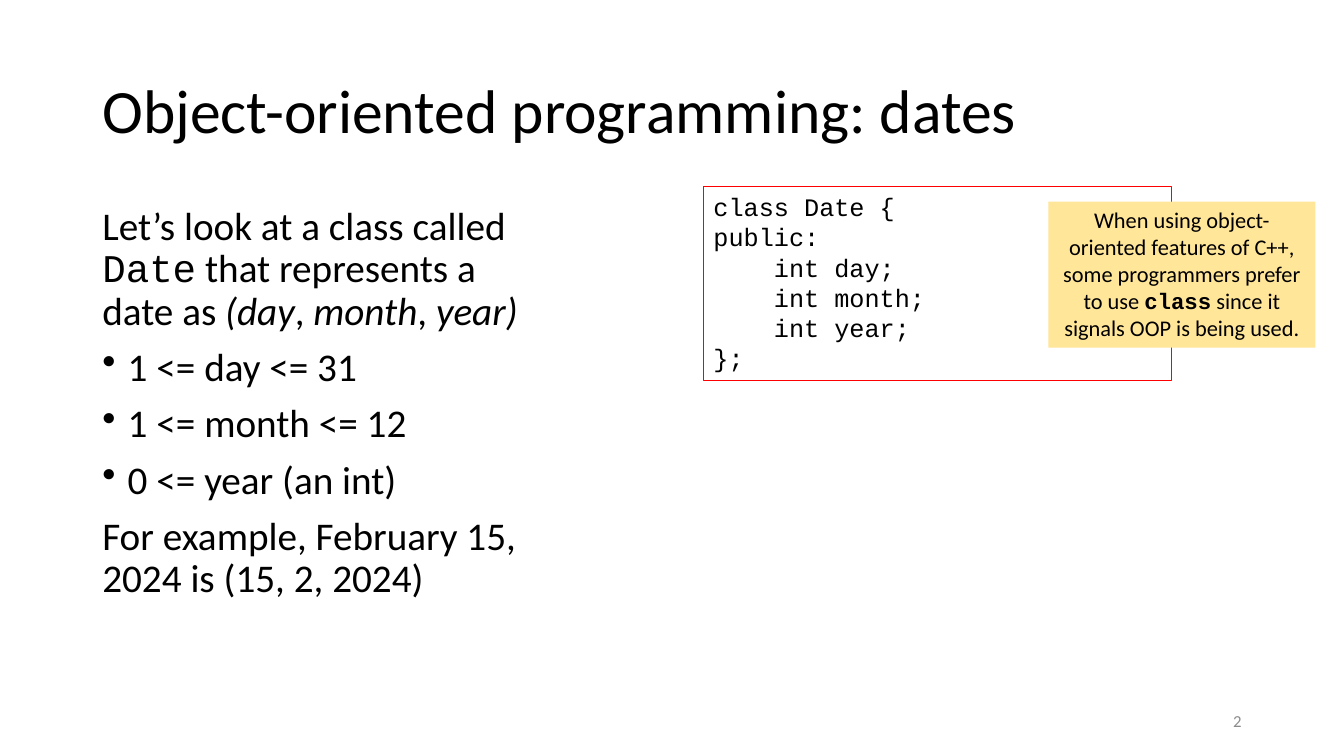
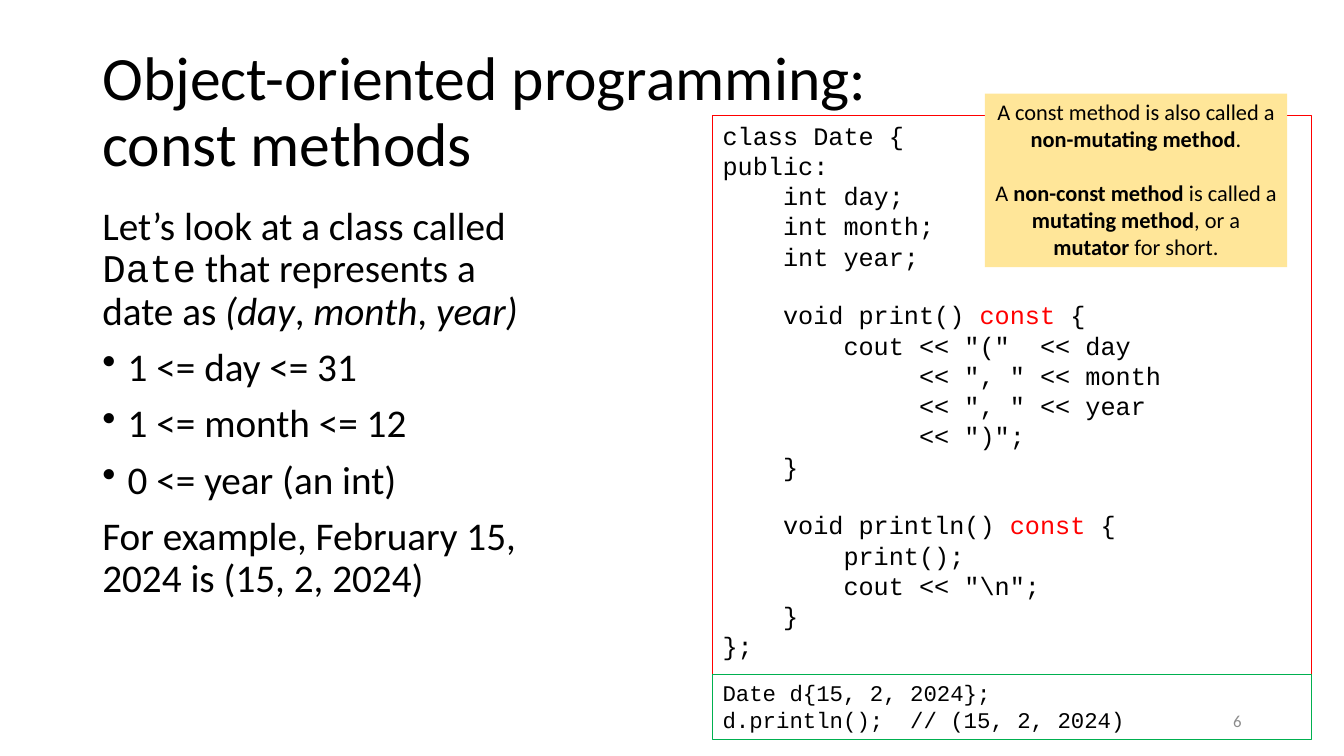
import lxml.etree
import pptx
import pptx.dml.color
import pptx.enum.text
import pptx.oxml.ns
import pptx.util

Cm = pptx.util.Cm
Pt = pptx.util.Pt
ALIGN = pptx.enum.text.PP_ALIGN
MIDDLE = pptx.enum.text.MSO_ANCHOR.MIDDLE

# Shared style
SANS, MONO = "Calibri", "Courier New"
BLACK, GREY, RED, GREEN, YELLOW = "000000", "8C8C8C", "FF0000", "00B050", "FFE699"
LEFT_MARGIN = 2.33
CODE_LINE_HEIGHT = 1.133

# Text: a paragraph is a list of runs, each a string or (string, style)
BOLD, ITALIC = {"bold": True}, {"italic": True}

DATE_INTRODUCTION = [
    "Let’s look at a class called ", ("Date", {"name": MONO}),
    " that represents a date as ", ("(day", ITALIC), ", ",
    ("month", ITALIC), ", ", ("year)", ITALIC),
]
DATE_LIMITS = ["1 <= day <= 31", "1 <= month <= 12", "0 <= year (an int)"]
DATE_EXAMPLE = "For example, February 15, 2024 is (15, 2, 2024)"

CLASS_NOTE = [[
    "When using object-oriented features of C++, some programmers prefer to use ",
    ("class", {"name": MONO, "bold": True}),
    " since it signals OOP is being used.",
]]
CONST_NOTE = [
    ["A const method is also called a ", ("non-mutating method", BOLD), "."],
    ["A ", ("non-const method ", BOLD), "is called a ", ("mutating method", BOLD),
     ", or a ", ("mutator", BOLD), " for short."],
]

DATE_FIELDS = """\
class Date {
public:
    int day;
    int month;
    int year;
"""
DATE_METHODS = r"""
    void print() const {
        cout << "("  << day
             << ", " << month
             << ", " << year
             << ")";
    }

    void println() const {
        print();
        cout << "\n";
    }
"""
CLASS_END = "};"
DATE_USAGE = """\
Date d{15, 2, 2024};
d.println();  // (15, 2, 2024)"""


def color(value):
    return pptx.dml.color.RGBColor.from_string(value)


def add_box(slide, left, top, width, height, fill=None, line=None, anchor=None):
    """Add a wrapping text box and return its text frame."""
    box = slide.shapes.add_textbox(Cm(left), Cm(top), Cm(width), Cm(height))
    if fill:
        box.fill.solid()
        box.fill.fore_color.rgb = color(fill)
    if line:
        box.line.color.rgb = color(line)
        box.line.width = Pt(0.75)
    box.text_frame.word_wrap = True
    if anchor is not None:
        box.text_frame.vertical_anchor = anchor
    return box.text_frame


def add_bullet(paragraph):
    properties = paragraph._p.get_or_add_pPr()
    properties.set("marL", str(Cm(0.64)))
    properties.set("indent", str(-Cm(0.64)))
    bullet = lxml.etree.SubElement(properties, pptx.oxml.ns.qn("a:buChar"))
    bullet.set("char", "•")


def write(frame, content, size, font=SANS, ink=BLACK, align=ALIGN.LEFT,
          spacing=None, before=0, bullet=False):
    """Write one paragraph, using the frame's empty first one if it is free."""
    paragraph = frame.paragraphs[0]
    if paragraph.runs:
        paragraph = frame.add_paragraph()
    if bullet:
        add_bullet(paragraph)
    paragraph.alignment = align
    paragraph.line_spacing = spacing
    paragraph.space_before = Pt(before)
    paragraph.font.name = font
    paragraph.font.size = Pt(size)
    paragraph.font.color.rgb = color(ink)
    if isinstance(content, str):
        paragraph.text = content
        return
    for part in content:
        text, style = (part, {}) if isinstance(part, str) else part
        run = paragraph.add_run()
        run.text = text
        if "ink" in style:
            run.font.color.rgb = color(style["ink"])
        run.font.name = style.get("name")
        run.font.bold = style.get("bold")
        run.font.italic = style.get("italic")


def add_code(slide, left, top, width, height, code, line, size=18, keyword="const"):
    """Add an outlined code listing; empty lines become paragraph spacing."""
    frame = add_box(slide, left, top, width, height, line=line)
    gap = 0
    for code_line in code.splitlines():
        if not code_line:
            gap += size * CODE_LINE_HEIGHT
            continue
        start, found, rest = code_line.partition(keyword)
        content = [start, (found, {"ink": RED}), rest] if found else code_line
        write(frame, content, size, MONO, before=gap)
        gap = 0


def add_note(slide, left, top, width, height, paragraphs):
    frame = add_box(slide, left, top, width, height, fill=YELLOW)
    for index, content in enumerate(paragraphs):
        write(frame, content, 16, align=ALIGN.CENTER, before=19.5 if index else 0)


def add_date_slide(presentation, title, number):
    """Add a slide with the title, date description and number all slides share."""
    slide = presentation.slides.add_slide(presentation.slide_layouts[6])
    frame = add_box(slide, LEFT_MARGIN, 1.02, 29.21, 3.68, anchor=MIDDLE)
    write(frame, title, 44, spacing=0.9)

    frame = add_box(slide, LEFT_MARGIN, 5.08, 11.02, 12.09)
    body = {"size": 28, "spacing": 0.9, "before": 10}
    write(frame, DATE_INTRODUCTION, **body)
    for limit in DATE_LIMITS:
        write(frame, limit, bullet=True, **body)
    write(frame, DATE_EXAMPLE, **body)

    frame = add_box(slide, 23.92, 17.66, 7.62, 1.01, anchor=MIDDLE)
    write(frame, str(number), 12, ink=GREY, align=ALIGN.RIGHT)
    return slide


def main():
    presentation = pptx.Presentation()
    presentation.slide_width = Cm(33.87)
    presentation.slide_height = Cm(19.05)

    # Class with its fields
    slide = add_date_slide(presentation, "Object-oriented programming: dates", 2)
    add_code(slide, 17.73, 4.7, 11.79, 4.88, DATE_FIELDS + CLASS_END, RED)
    add_note(slide, 26.42, 5.08, 6.73, 3.68, CLASS_NOTE)

    # Class with const methods, and its use
    slide = add_date_slide(
        presentation, "Object-oriented programming: \nconst methods", 6)
    left, width, usage_top = 17.96, 15.09, 17
    add_code(slide, left, 2.9, width, usage_top - 2.9,
             DATE_FIELDS + DATE_METHODS + CLASS_END, RED)
    add_note(slide, 24.82, 2.36, 7.62, 4.37, CONST_NOTE)
    add_code(slide, left, usage_top, width, 1.63, DATE_USAGE, GREEN, size=16)

    presentation.save("out.pptx")


if __name__ == "__main__":
    main()
